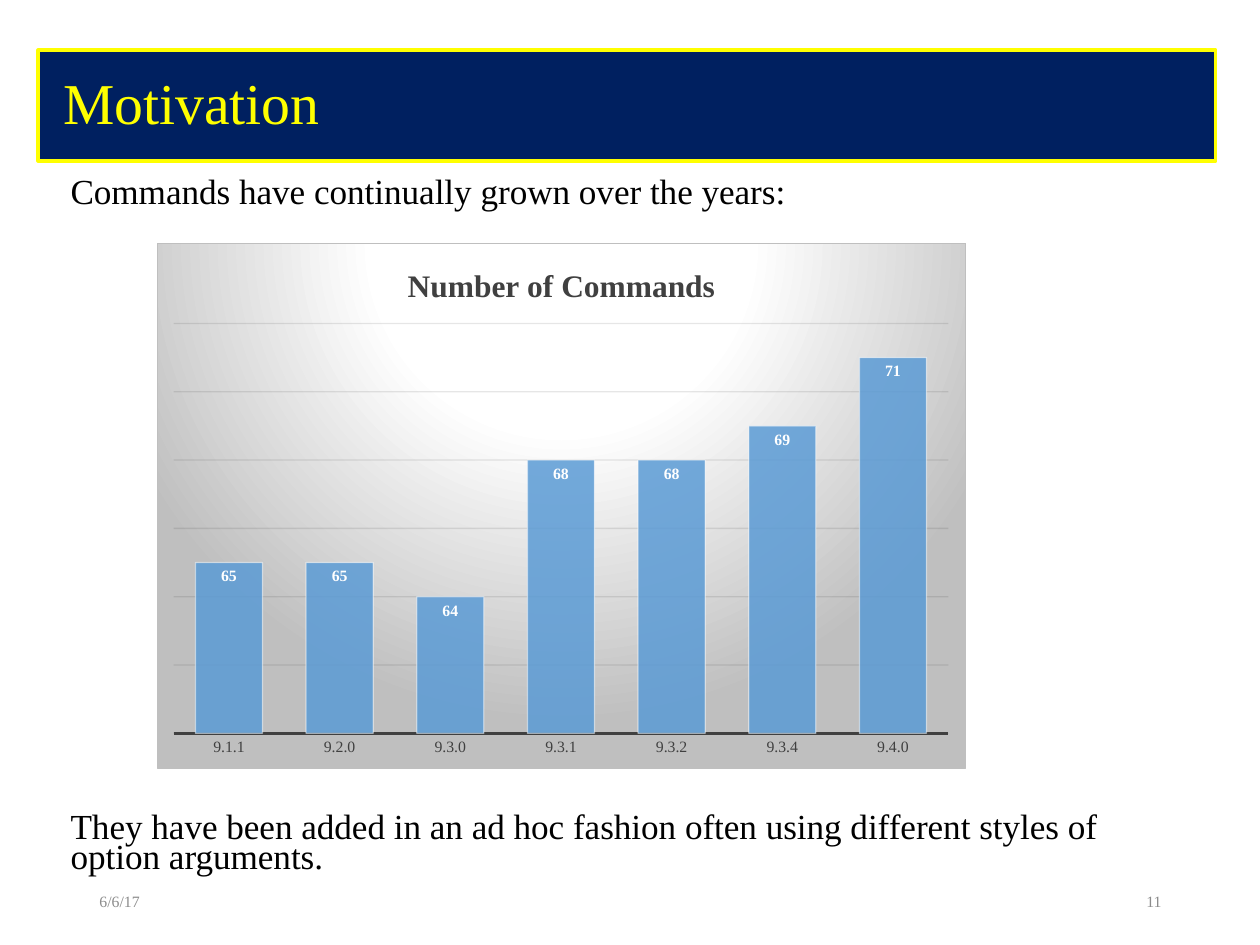
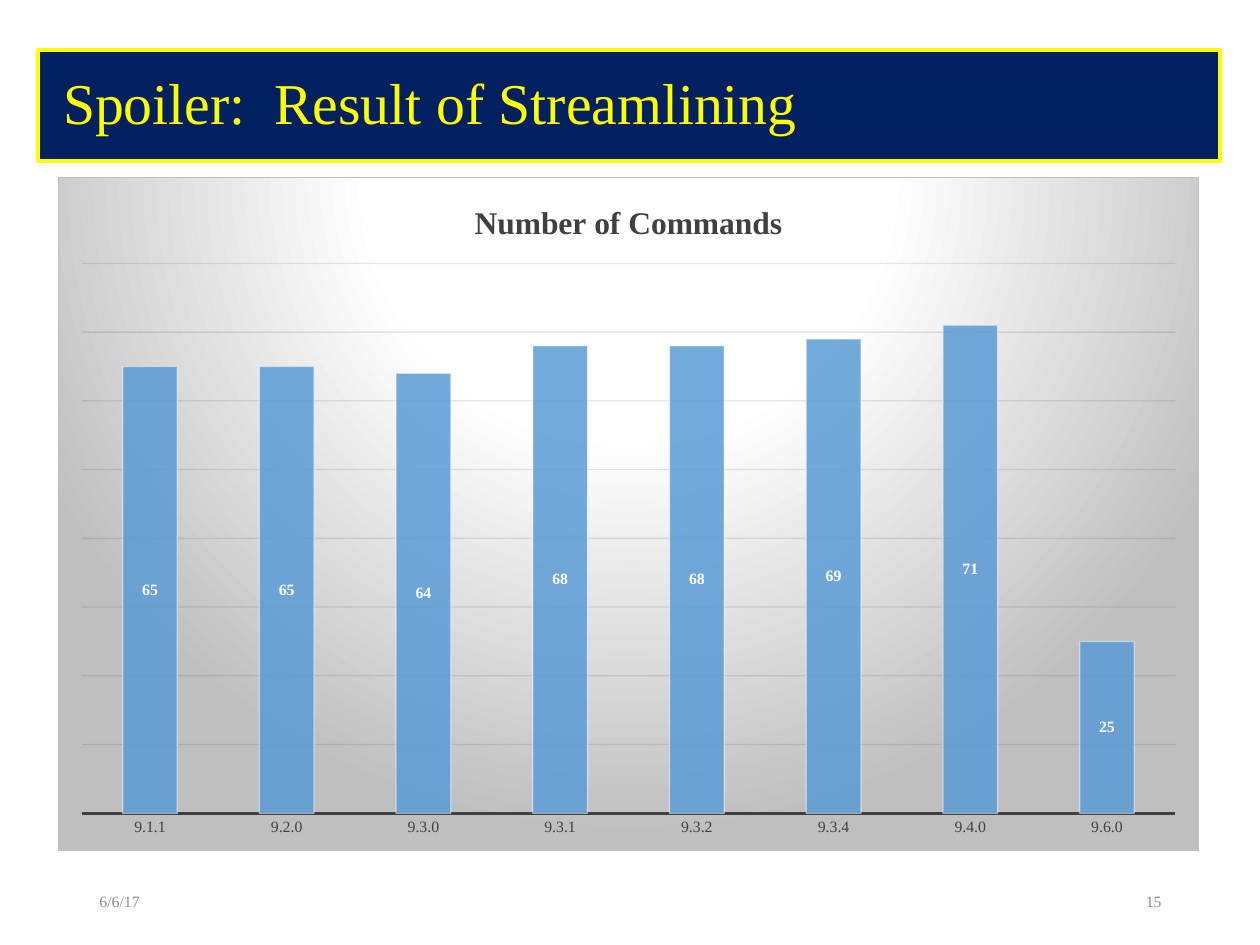
from dataclasses import dataclass

from lxml import etree
from pptx import Presentation
from pptx.chart.data import CategoryChartData
from pptx.dml.color import RGBColor
from pptx.enum.chart import XL_CHART_TYPE as ChartType
from pptx.enum.chart import XL_LABEL_POSITION as LabelPosition
from pptx.enum.chart import XL_TICK_MARK as TickMark
from pptx.enum.text import MSO_ANCHOR as Anchor
from pptx.enum.text import MSO_AUTO_SIZE as AutoSize
from pptx.enum.text import PP_ALIGN as Align
from pptx.oxml import parse_xml
from pptx.oxml.ns import nsdecls, qn
from pptx.util import Emu, Pt

# Content: boxes are left, top, width, height in px
CHART_TITLE = "Number of Commands"
COMMANDS = [("9.1.1", 65), ("9.2.0", 65), ("9.3.0", 64), ("9.3.1", 68),
            ("9.3.2", 68), ("9.3.4", 69), ("9.4.0", 71)]
DATE = "6/6/17"
SLIDES = [
    {
        "title": "Motivation",
        "title_box": (38, 50, 1178, 111),
        "number": "11",
        "body": ["Commands have continually grown over the years:",
                 "They have been added in an ad hoc fashion often using "
                 "different styles of option arguments."],
        "chart": {"box": (157, 243, 809, 526), "plot": (173, 323, 776, 411),
                  "type": ChartType.COLUMN_CLUSTERED, "data": COMMANDS,
                  "scale": (60, 72, 2), "gap": 65, "overlap": 0,
                  "labels": LabelPosition.INSIDE_END},
    },
    {
        "title": "Spoiler:  Result of Streamlining",
        "title_box": (38, 50, 1182, 111),
        "number": "15",
        "body": [],
        "chart": {"box": (58, 177, 1141, 674), "plot": (81, 263, 1095, 551),
                  "type": ChartType.COLUMN_STACKED,
                  "data": COMMANDS + [("9.6.0", 25)],
                  "scale": (0, 80, 10), "gap": 150, "overlap": 100,
                  "labels": LabelPosition.CENTER},
    },
]
BODY_BOX = (58, 171, 1068, 718)
DATE_BOX = (87, 876, 284, 50)
NUMBER_BOX = (890, 876, 284, 50)
BODY_GAP = Pt(346)  # room for the chart between the two sentences


@dataclass(frozen=True)
class Theme:
    font: str = "Times New Roman"
    navy: str = "002060"
    yellow: str = "FFFF00"
    black: str = "000000"
    white: str = "FFFFFF"
    grey: str = "8C8C8C"
    silver: str = "BFBFBF"
    dark: str = "404040"
    grid: str = "0D0D0D"
    bar: str = "5B9BD5"
    title_size: float = 33
    body_size: float = 20.1
    chart_title_size: float = 18
    chart_size: float = 10
    small_size: float = 9


THEME = Theme()


def px(length):
    return Emu(round(length * 914400 / 126))


def place(shape, box):
    shape.left, shape.top, shape.width, shape.height = map(px, box)


def style_font(font, size, color, bold=False):
    font.name, font.size, font.bold = THEME.font, Pt(size), bold
    font.color.rgb = RGBColor.from_string(color)


def style_line(line, color, width):
    line.color.rgb = RGBColor.from_string(color)
    line.width = Pt(width)


def style_runs(paragraph, size, color):
    for run in paragraph.runs:
        style_font(run.font, size, color)


# Text parts
def add_title(slide, text, box):
    title = slide.shapes.title
    place(title, box)
    title.fill.solid()
    title.fill.fore_color.rgb = RGBColor.from_string(THEME.navy)
    style_line(title.line, THEME.yellow, 1.75)
    frame = title.text_frame
    frame.text = text
    frame.auto_size = AutoSize.NONE
    frame.vertical_anchor = Anchor.MIDDLE
    frame.margin_left = frame.margin_right = px(25)
    paragraph = frame.paragraphs[0]
    paragraph.alignment = Align.LEFT
    paragraph.line_spacing = 0.9
    style_runs(paragraph, THEME.title_size, THEME.yellow)


def add_body(slide, sentences):
    body = slide.placeholders[1]
    place(body, BODY_BOX)
    frame = body.text_frame
    frame.text = "\n".join(sentences)
    frame.auto_size = AutoSize.NONE
    frame.margin_top = px(10)
    for index, paragraph in enumerate(frame.paragraphs):
        properties = paragraph._p.get_or_add_pPr()
        properties.set("marL", "0")
        properties.set("indent", "0")
        etree.SubElement(properties, qn("a:buNone"))
        paragraph.line_spacing = 0.7
        paragraph.space_before = BODY_GAP if index else Pt(0)
        style_runs(paragraph, THEME.body_size, THEME.black)


def add_footer(slide, text, box, alignment):
    frame = slide.shapes.add_textbox(*map(px, box)).text_frame
    frame.text = text
    frame.word_wrap = True
    frame.vertical_anchor = Anchor.MIDDLE
    frame.paragraphs[0].alignment = alignment
    style_runs(frame.paragraphs[0], THEME.small_size, THEME.grey)


# Chart parts
def set_opacity(chart, parent, percent):
    for color in chart.element.xpath(f".//{parent}//a:srgbClr"):
        etree.SubElement(color, qn("a:alpha")).set("val", str(percent * 1000))


def add_backdrop(chart):
    stops = [(0, THEME.white), (39, THEME.white), (100, THEME.silver)]
    stop_xml = "".join(f'<a:gs pos="{position * 1000}"><a:srgbClr val="{color}"/></a:gs>'
                       for position, color in stops)
    backdrop = parse_xml(
        f'<c:spPr {nsdecls("c", "a")}><a:gradFill><a:gsLst>{stop_xml}</a:gsLst>'
        '<a:path path="circle"><a:fillToRect l="50000" t="-80000" r="50000" b="180000"/>'
        '</a:path></a:gradFill><a:ln w="9525"><a:solidFill>'
        f'<a:srgbClr val="{THEME.silver}"/></a:solidFill></a:ln></c:spPr>')
    chart.element.find(qn("c:chart")).addnext(backdrop)


def place_plot(chart, box, plot):
    fractions = {"x": (plot[0] - box[0]) / box[2], "y": (plot[1] - box[1]) / box[3],
                 "w": plot[2] / box[2], "h": plot[3] / box[3]}
    values = "".join(f'<c:{key} val="{value:.4f}"/>' for key, value in fractions.items())
    layout = parse_xml(
        f'<c:layout {nsdecls("c")}><c:manualLayout><c:layoutTarget val="inner"/>'
        f'<c:xMode val="edge"/><c:yMode val="edge"/>{values}</c:manualLayout></c:layout>')
    area = chart.element.find(qn("c:chart")).find(qn("c:plotArea"))
    for previous in area.findall(qn("c:layout")):
        area.remove(previous)
    area.insert(0, layout)


def style_axes(chart, scale):
    category_axis, value_axis = chart.category_axis, chart.value_axis
    category_axis.major_tick_mark = category_axis.minor_tick_mark = TickMark.NONE
    category_axis.has_major_gridlines = False
    style_font(category_axis.tick_labels.font, THEME.small_size, THEME.dark)
    style_line(category_axis.format.line, THEME.dark, 1.5)
    value_axis.minimum_scale, value_axis.maximum_scale, value_axis.major_unit = scale
    value_axis.has_major_gridlines = True
    style_line(value_axis.major_gridlines.format.line, THEME.grid, 0.75)
    value_axis.visible = False
    set_opacity(chart, "c:majorGridlines", 10)


def style_bars(chart, settings):
    plot = chart.plots[0]
    plot.vary_by_categories = False
    plot.gap_width, plot.overlap = settings["gap"], settings["overlap"]
    series = plot.series[0]
    series.format.fill.solid()
    series.format.fill.fore_color.rgb = RGBColor.from_string(THEME.bar)
    style_line(series.format.line, THEME.white, 0.75)
    set_opacity(chart, "c:ser/c:spPr/a:solidFill", 85)
    set_opacity(chart, "c:ser/c:spPr/a:ln", 50)
    labels = series.data_labels
    labels.show_value = True
    labels.position = settings["labels"]
    style_font(labels.font, THEME.small_size, THEME.white, bold=True)


def add_commands_chart(slide, settings):
    data = CategoryChartData()
    versions, counts = zip(*settings["data"])
    data.categories = versions
    data.add_series(CHART_TITLE, counts)
    box = settings["box"]
    chart = slide.shapes.add_chart(settings["type"], *map(px, box), data).chart
    style_font(chart.font, THEME.chart_size, THEME.black)
    chart.has_legend = False
    chart.has_title = True
    chart.chart_title.include_in_layout = False
    title_frame = chart.chart_title.text_frame
    title_frame.text = CHART_TITLE
    style_font(title_frame.paragraphs[0].runs[0].font,
               THEME.chart_title_size, THEME.dark, bold=True)
    style_axes(chart, settings["scale"])
    style_bars(chart, settings)
    place_plot(chart, box, settings["plot"])
    add_backdrop(chart)


def main():
    presentation = Presentation()
    presentation.slide_width, presentation.slide_height = px(1260), px(945)
    for content in SLIDES:
        # Layout 1 has title and body, layout 5 the title alone
        layout = presentation.slide_layouts[1 if content["body"] else 5]
        slide = presentation.slides.add_slide(layout)
        if content["body"]:
            add_body(slide, content["body"])
        add_footer(slide, DATE, DATE_BOX, Align.LEFT)
        add_footer(slide, content["number"], NUMBER_BOX, Align.RIGHT)
        add_title(slide, content["title"], content["title_box"])
        add_commands_chart(slide, content["chart"])
    presentation.save("out.pptx")


if __name__ == "__main__":
    main()
